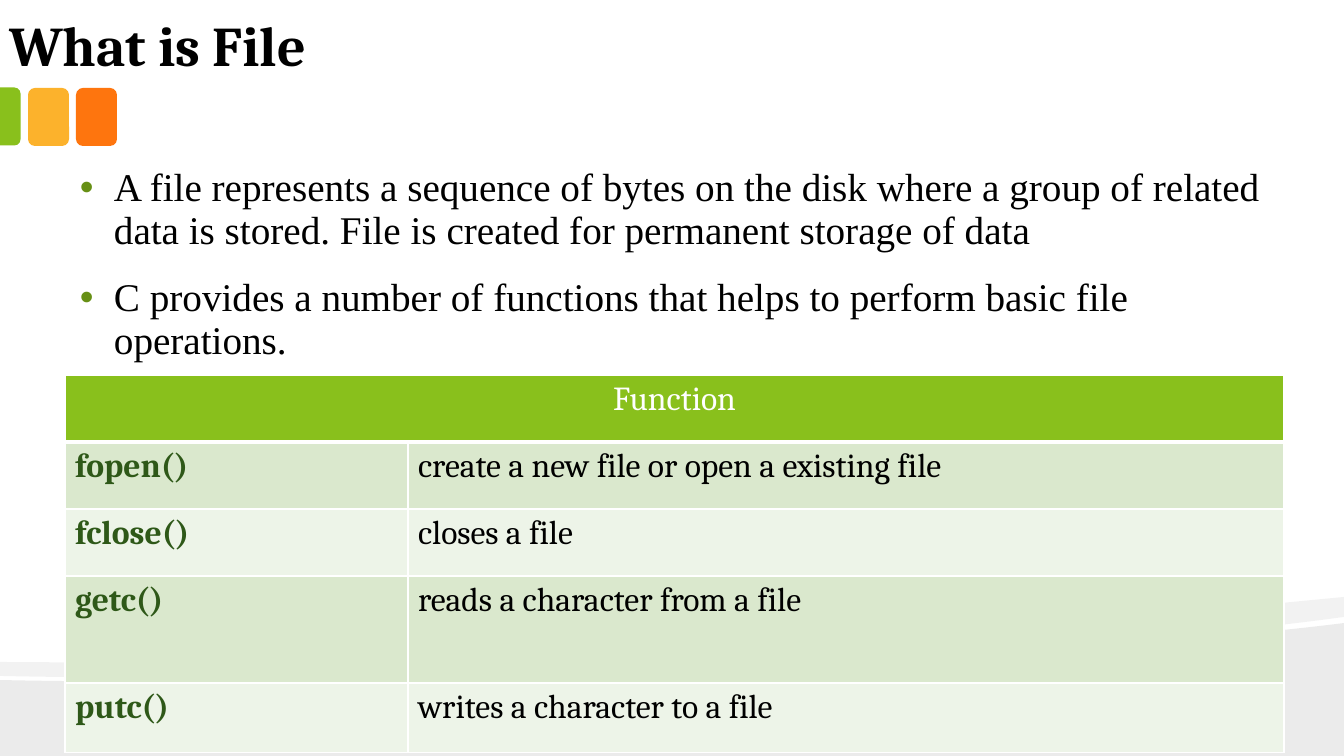
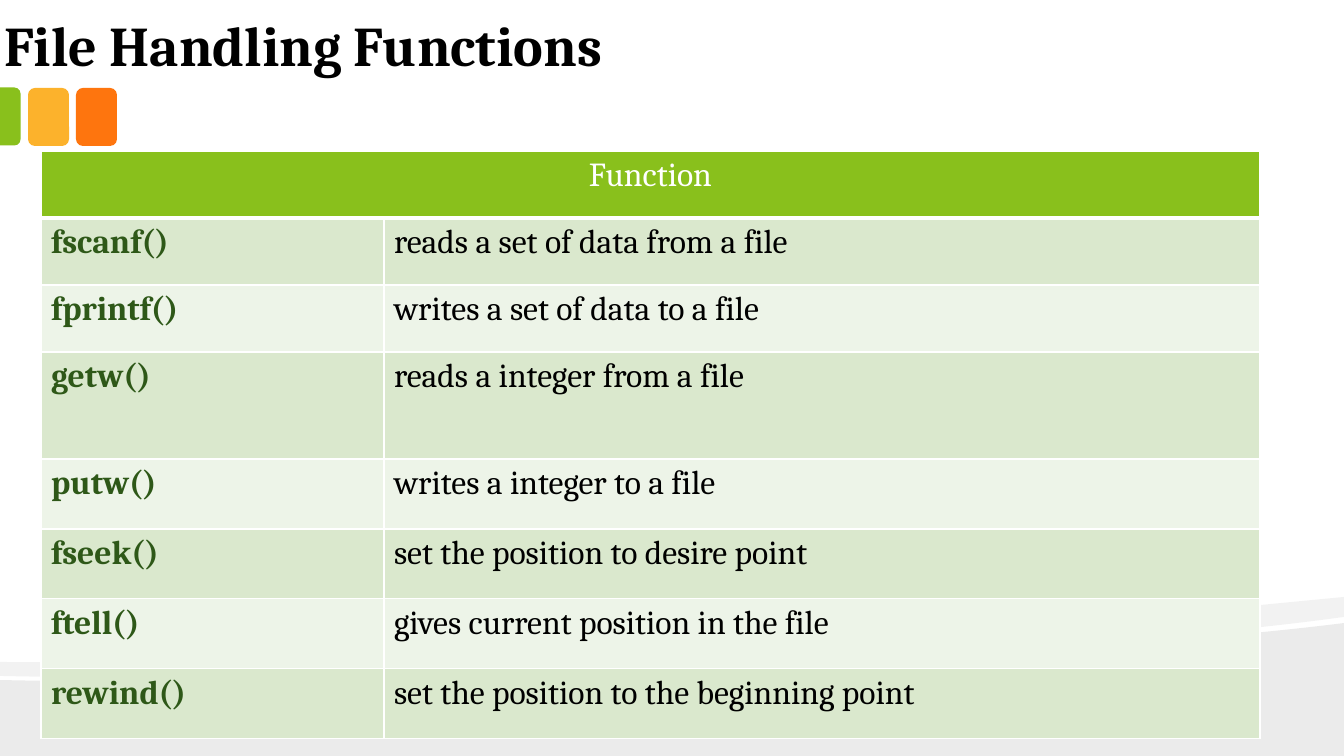
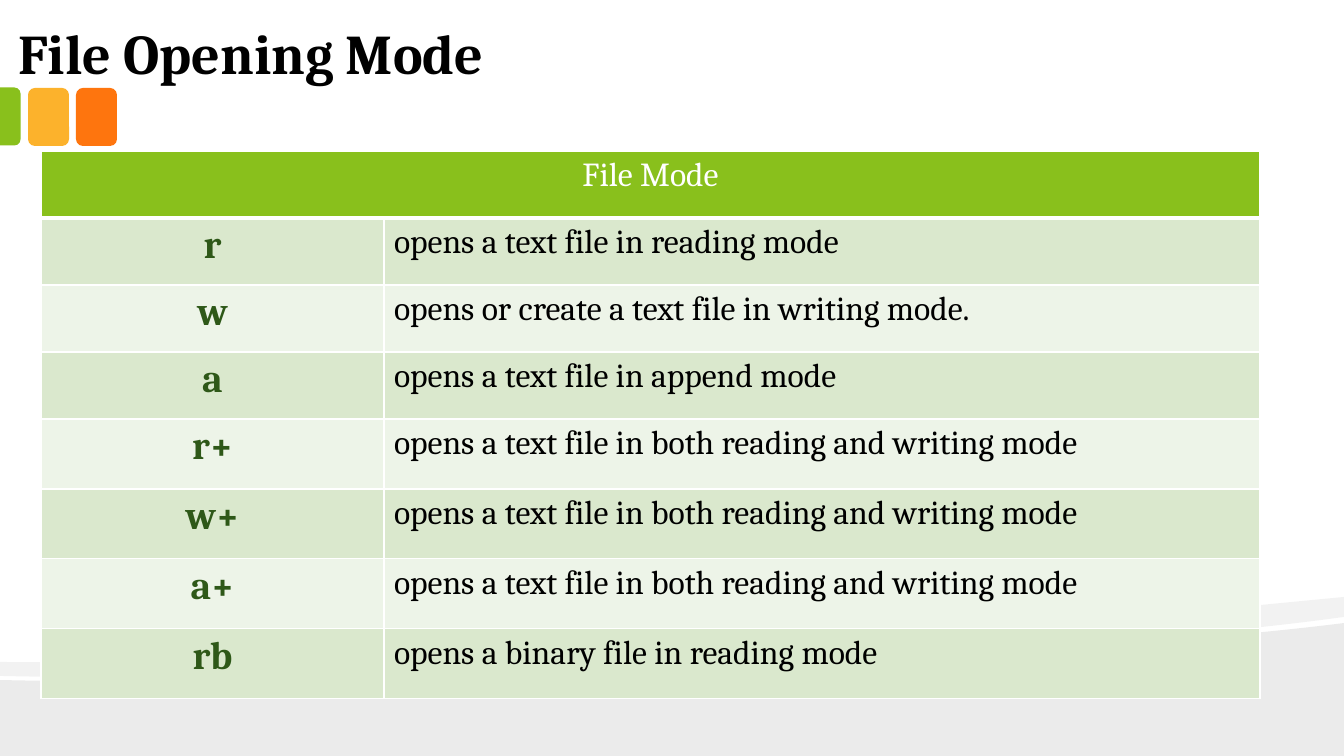
from typing import Any, NamedTuple

from pptx import Presentation
from pptx.dml.color import RGBColor
from pptx.enum.shapes import MSO_SHAPE, PP_PLACEHOLDER
from pptx.enum.text import MSO_ANCHOR, MSO_AUTO_SIZE, PP_ALIGN
from pptx.oxml.ns import qn
from pptx.oxml.xmlchemy import OxmlElement
from pptx.util import Emu, Pt

SLIDE_WIDTH, SLIDE_HEIGHT = 1344, 756
EMU_PER_PX = 12192000 / SLIDE_WIDTH

BLACK, WHITE = "000000", "FFFFFF"
GREEN, AMBER, ORANGE = "89C01C", "FCB22C", "FE750E"
BULLET_GREEN, NAME_GREEN = "679015", "2E5818"
BANDS = ("DAE8CD", "EDF4E8")

TITLE_FONT = {"name": "Cambria", "size": Pt(40), "bold": True}
BODY_FONT = {"name": "Times New Roman", "size": Pt(28)}
CELL_FONT = {"name": "Cambria", "size": Pt(24), "bold": False}
NAME_FONT = CELL_FONT | {"bold": True}
MODE_FONT = NAME_FONT | {"size": Pt(28)}

COLUMN_WIDTHS = (343, 876)
HEADER_HEIGHT, LOW_ROW, HIGH_ROW, TALL_ROW = 67, 67, 70, 107

Point = tuple[int, int]


class Box(NamedTuple):
    left: int
    top: int
    width: int
    height: int


class Heading(NamedTuple):
    text: str
    box: Box
    inset: tuple[int, int] = (13, 7)
    anchor: MSO_ANCHOR = MSO_ANCHOR.BOTTOM


class Entry(NamedTuple):
    name: str
    meaning: str
    height: int


class Reference(NamedTuple):
    header: str
    left: int
    top: int
    entries: list[Entry]
    name_font: dict[str, Any] = NAME_FONT
    name_align: PP_ALIGN = PP_ALIGN.LEFT


class Tab(NamedTuple):
    preset: MSO_SHAPE
    box: Box
    colour: str
    rotation: int = 0
    adjustments: tuple[float, ...] = ()


class Wave(NamedTuple):
    """An outline of segments: one point is a line, three points a Bezier curve."""
    start: Point
    segments: list[tuple[Point, ...]]
    opacity: int


class Page(NamedTuple):
    heading: Heading
    reference: Reference
    bullets: tuple[str, ...] = ()


WAVES = [
    Wave((SLIDE_WIDTH, 623), [
        ((SLIDE_WIDTH, SLIDE_HEIGHT),),
        ((0, SLIDE_HEIGHT),),
        ((0, 680),),
        ((355, 688), (1050, 660), (SLIDE_WIDTH, 623)),
    ], 8),
    Wave((SLIDE_WIDTH, 597), [
        ((SLIDE_WIDTH, 617),),
        ((1265, 628), (1158, 638), (1037, 646)),
        ((704, 668), (260, 682), (0, 676)),
        ((0, 662),),
        ((657, 667), (979, 632), (SLIDE_WIDTH, 597)),
    ], 5),
]

TABS = [
    Tab(MSO_SHAPE.ROUNDED_RECTANGLE, Box(76, 88, 41, 58), ORANGE),
    Tab(MSO_SHAPE.ROUNDED_RECTANGLE, Box(28, 88, 41, 58), AMBER),
    Tab(MSO_SHAPE.ROUND_2_SAME_RECTANGLE, Box(-19, 106, 58, 21), GREEN, 90, (0.29, 0)),
]

BODY_BOX = Box(67, 161, 1218, 469)
BULLET_INDENT = 34

PAGES = [
    Page(
        Heading("What is File", Box(-4, 0, 1045, 85)),
        Reference("Function", 65, 375, [
            Entry("fopen()", "create a new file or open a existing file", LOW_ROW),
            Entry("fclose()", "closes a file", LOW_ROW),
            Entry("getc()", "reads a character from a file", TALL_ROW),
            Entry("putc()", "writes a character to a file", HIGH_ROW),
        ]),
        (
            "A file represents a sequence of bytes on the disk where a group of related "
            "data is stored. File is created for permanent storage of data",
            "C provides a number of functions that helps to perform basic file operations.",
        ),
    ),
    Page(
        Heading("File Handling Functions", Box(-9, 0, 1045, 85)),
        Reference("Function", 41, 151, [
            Entry("fscanf()", "reads a set of data from a file", LOW_ROW),
            Entry("fprintf()", "writes a set of data to a file", LOW_ROW),
            Entry("getw()", "reads a integer from a file", TALL_ROW),
            Entry("putw()", "writes a integer to a file", HIGH_ROW),
            Entry("fseek()", "set the position to desire point", HIGH_ROW),
            Entry("ftell()", "gives current position in the file", HIGH_ROW),
            Entry("rewind()", "set the position to the beginning point", HIGH_ROW),
        ]),
    ),
    Page(
        Heading("File Opening Mode", Box(8, 13, 798, 78), (10, 5), MSO_ANCHOR.TOP),
        Reference("File Mode", 41, 151, [
            Entry("r", "opens a text file in reading mode", LOW_ROW),
            Entry("w", "opens or create a text file in writing mode.", LOW_ROW),
            Entry("a", "opens a text file in append mode", LOW_ROW),
            Entry("r+", "opens a text file in both reading and writing mode", HIGH_ROW),
            Entry("w+", "opens a text file in both reading and writing mode", HIGH_ROW),
            Entry("a+", "opens a text file in both reading and writing mode", HIGH_ROW),
            Entry("rb", "opens a binary file in reading mode", HIGH_ROW),
        ], MODE_FONT, PP_ALIGN.CENTER),
    ),
]


def px(length: int) -> Emu:
    return Emu(round(length * EMU_PER_PX))


def place(box: Box) -> list[Emu]:
    return [px(length) for length in box]


def colour(hex_code: str) -> RGBColor:
    return RGBColor.from_string(hex_code)


def apply(target, values: dict[str, Any]) -> None:
    for attribute, value in values.items():
        setattr(target, attribute, value)


def format_font(font, values: dict[str, Any], hex_code: str) -> None:
    apply(font, values)
    font.color.rgb = colour(hex_code)


def format_frame(frame, inset: tuple[int, int], anchor: MSO_ANCHOR) -> None:
    side, end = map(px, inset)
    apply(frame, {
        "word_wrap": True, "auto_size": MSO_AUTO_SIZE.NONE, "vertical_anchor": anchor,
        "margin_left": side, "margin_right": side, "margin_top": end, "margin_bottom": end,
    })


def add_child(parent, tag: str, **attributes):
    child = OxmlElement(tag)
    for key, value in attributes.items():
        child.set(key, str(value))
    parent.append(child)
    return child


def paint(shape, hex_code: str, opacity: int = 100) -> None:
    shape.shadow.inherit = False
    shape.fill.solid()
    shape.fill.fore_color.rgb = colour(hex_code)
    shape.line.fill.background()
    if opacity < 100:
        fill_colour = next(shape.element.iter(qn("a:srgbClr")))
        add_child(fill_colour, "a:alpha", val=opacity * 1000)


def draw_wave(slide, wave: Wave):
    """Build the outline from straight lines, then join each triple into a curve."""
    builder = slide.shapes.build_freeform(*map(px, wave.start), scale=1.0)
    vertices = [(px(x), px(y)) for segment in wave.segments for x, y in segment]
    builder.add_line_segments(vertices, close=True)
    shape = builder.convert_to_shape()
    lines = shape.element.iter(qn("a:lnTo"))
    groups = [[next(lines) for _ in segment] for segment in wave.segments]
    for group in groups:
        if len(group) == 3:
            bezier = OxmlElement("a:cubicBezTo")
            group[0].addprevious(bezier)
            for line in group:
                bezier.append(line[0])
                line.getparent().remove(line)
    paint(shape, BLACK, wave.opacity)
    return shape


def draw_tab(slide, tab: Tab):
    shape = slide.shapes.add_shape(tab.preset, *place(tab.box))
    shape.rotation = tab.rotation
    for index, value in enumerate(tab.adjustments):
        shape.adjustments[index] = value
    paint(shape, tab.colour)
    return shape


def decorate_layout(layout, slide) -> None:
    """Draw the waves and tabs on a slide, then move them to its layout."""
    for placeholder in list(layout.placeholders):
        if placeholder.placeholder_format.type != PP_PLACEHOLDER.TITLE:
            layout.shapes.element.remove(placeholder.element)
    scenery = [draw_wave(slide, wave) for wave in WAVES]
    scenery += [draw_tab(slide, tab) for tab in TABS]
    for shape in scenery:
        layout.shapes.element.append(shape.element)


def write_title(slide, heading: Heading) -> None:
    title = slide.shapes.title
    apply(title, dict(zip(Box._fields, place(heading.box))))
    format_frame(title.text_frame, heading.inset, heading.anchor)
    title.text_frame.text = heading.text
    paragraph = title.text_frame.paragraphs[0]
    paragraph.alignment = PP_ALIGN.LEFT
    format_font(paragraph.runs[0].font, TITLE_FONT, BLACK)


def write_bullets(slide, bullets: tuple[str, ...]) -> None:
    frame = slide.shapes.add_textbox(*place(BODY_BOX)).text_frame
    format_frame(frame, (13, 7), MSO_ANCHOR.TOP)
    for index, bullet in enumerate(bullets):
        paragraph = frame.add_paragraph() if index else frame.paragraphs[0]
        paragraph.text = bullet
        paragraph.line_spacing = 0.9
        paragraph.space_before = Pt(18 if index else 0)
        properties = paragraph._p.get_or_add_pPr()
        properties.set("marL", str(px(BULLET_INDENT)))
        properties.set("indent", str(px(-BULLET_INDENT)))
        add_child(add_child(properties, "a:buClr"), "a:srgbClr", val=BULLET_GREEN)
        add_child(properties, "a:buFont", typeface="Arial")
        add_child(properties, "a:buChar", char="•")
        format_font(paragraph.runs[0].font, BODY_FONT, BLACK)


def set_borders(cell, bottom_points: int) -> None:
    properties = cell._tc.get_or_add_tcPr()
    for side, points in {"L": 1, "R": 1, "T": 1, "B": bottom_points}.items():
        line = add_child(properties, f"a:ln{side}", w=Pt(points))
        add_child(add_child(line, "a:solidFill"), "a:srgbClr", val=WHITE)


def write_cell(cell, text: str, font: dict[str, Any], text_colour: str, fill: str,
               align: PP_ALIGN = PP_ALIGN.LEFT, bottom_points: int = 1) -> None:
    set_borders(cell, bottom_points)
    cell.fill.solid()
    cell.fill.fore_color.rgb = colour(fill)
    if text:
        cell.text = text
        paragraph = cell.text_frame.paragraphs[0]
        paragraph.alignment = align
        format_font(paragraph.runs[0].font, font, text_colour)


def draw_reference(slide, reference: Reference) -> None:
    heights = [HEADER_HEIGHT, *(entry.height for entry in reference.entries)]
    box = Box(reference.left, reference.top, sum(COLUMN_WIDTHS), sum(heights))
    table = slide.shapes.add_table(len(heights), len(COLUMN_WIDTHS), *place(box)).table
    table.horz_banding = False
    for column, width in zip(table.columns, COLUMN_WIDTHS):
        column.width = px(width)
    for row, height in zip(table.rows, heights):
        row.height = px(height)

    table.cell(0, 0).merge(table.cell(0, 1))
    for column, text in enumerate((reference.header, "")):
        write_cell(table.cell(0, column), text, CELL_FONT, WHITE, GREEN,
                   PP_ALIGN.CENTER, bottom_points=3)
    for index, entry in enumerate(reference.entries):
        band = BANDS[index % len(BANDS)]
        write_cell(table.cell(index + 1, 0), entry.name, reference.name_font,
                   NAME_GREEN, band, reference.name_align)
        write_cell(table.cell(index + 1, 1), entry.meaning, CELL_FONT, BLACK, band)


def main() -> None:
    deck = Presentation()
    deck.slide_width, deck.slide_height = px(SLIDE_WIDTH), px(SLIDE_HEIGHT)
    layout = deck.slide_layouts.get_by_name("Title Only")
    slides = [deck.slides.add_slide(layout) for _ in PAGES]
    decorate_layout(layout, slides[0])
    for slide, page in zip(slides, PAGES):
        write_title(slide, page.heading)
        if page.bullets:
            write_bullets(slide, page.bullets)
        draw_reference(slide, page.reference)
    deck.save("out.pptx")


if __name__ == "__main__":
    main()
